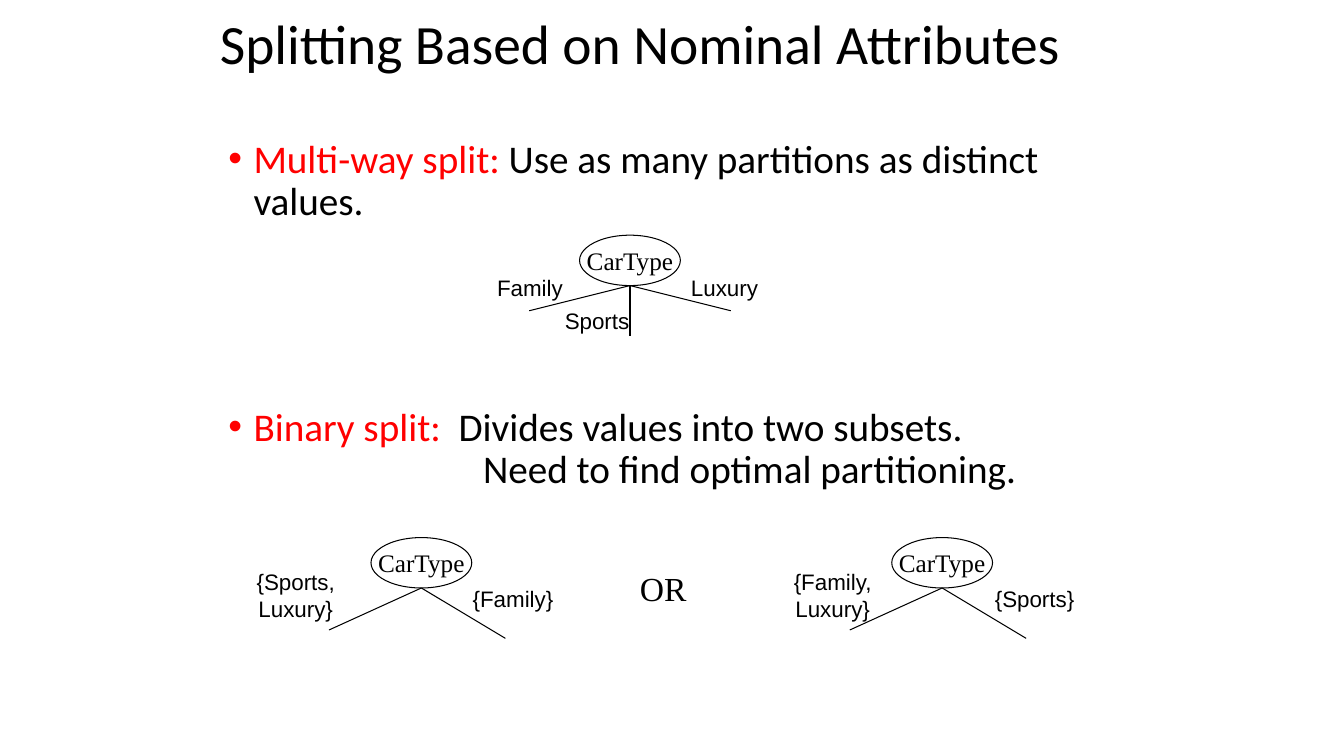
from lxml import etree
from pptx import Presentation
from pptx.dml.color import RGBColor
from pptx.enum.shapes import MSO_CONNECTOR, MSO_SHAPE
from pptx.enum.text import MSO_ANCHOR, PP_ALIGN
from pptx.oxml.ns import qn
from pptx.util import Pt

OVAL = MSO_SHAPE.OVAL
LINE = MSO_CONNECTOR.STRAIGHT
MID, TOP = MSO_ANCHOR.MIDDLE, MSO_ANCHOR.TOP
LEFT, MIDST = PP_ALIGN.LEFT, PP_ALIGN.CENTER
COLORS = {"ink": "000000", "key": "FF0000", "paper": "FFFFFF"}
SANS, SERIF, HEAD = "Arial", "Times New Roman", "Calibri"


class Board:
    """Draws styled text and split trees on one slide."""

    def __init__(self, slide):
        self.slide = slide

    def tint(self, name):
        return RGBColor.from_string(COLORS[name])

    def run(self, para, text, font, size, color="ink"):
        run = para.add_run()
        run.text = text
        run.font.name = font
        run.font.size = Pt(size)
        run.font.color.rgb = self.tint(color)

    def frame(self, shape, wrap, anchor):
        frame = shape.text_frame
        frame.word_wrap = wrap
        frame.vertical_anchor = anchor
        return frame

    def text(self, home, spot, words, font, size, wrap=False):
        box = home.add_textbox(*map(Pt, spot))
        para = self.frame(box, wrap, MID).paragraphs[0]
        para.alignment = MIDST
        self.run(para, words, font, size)
        return para

    def title(self, spot, words):
        para = self.text(self.slide.shapes, spot, words, HEAD, 39.6, True)
        para.alignment = LEFT
        para.line_spacing = 0.9

    def body(self, spot, rows, size):
        box = self.slide.shapes.add_textbox(*map(Pt, spot))
        frame = self.frame(box, True, TOP)
        for i, (gap, left, hang, runs) in enumerate(rows):
            para = frame.add_paragraph() if i else frame.paragraphs[0]
            para.line_spacing = 0.9
            para.space_before = Pt(gap)
            props = para._p.get_or_add_pPr()
            props.set("marL", str(Pt(left)))
            props.set("indent", str(Pt(-hang)))
            if hang:
                etree.SubElement(props, qn("a:buFont")).set("typeface", SANS)
                etree.SubElement(props, qn("a:buChar")).set("char", "•")
            for words, color in runs:
                self.run(para, words, HEAD, size, color)

    def line(self, home, x, y, dx, dy):
        edge = home.add_connector(LINE, Pt(x), Pt(y), Pt(x + dx), Pt(y + dy))
        edge.line.color.rgb = self.tint("ink")
        edge.line.width = Pt(0.75)
        etree.SubElement(edge._element.spPr, qn("a:effectLst"))

    def node(self, home, x, y, words):
        wide, high = 72, 36
        oval = home.add_shape(
            OVAL, Pt(x - wide / 2), Pt(y - high), Pt(wide), Pt(high))
        oval.shadow.inherit = False
        oval.fill.solid()
        oval.fill.fore_color.rgb = self.tint("paper")
        oval.line.color.rgb = self.tint("ink")
        oval.line.width = Pt(0.75)
        para = self.frame(oval, False, MID).paragraphs[0]
        para.alignment = MIDST
        self.run(para, words, SERIF, 18)

    def tree(self, x, y, ends, labels):
        home = self.slide.shapes.add_group_shape().shapes
        self.node(home, x, y, "CarType")
        for dx, dy in ends:
            self.line(home, x, y, dx, dy)
        for words, left, top, wide, high in labels:
            self.text(home, (left, top, wide, high), words, SANS, 16,
                      " " in words)


def main():
    deck = Presentation()
    deck.slide_width, deck.slide_height = Pt(960), Pt(540)
    slide = deck.slides.add_slide(deck.slide_layouts[6])
    board = Board(slide)
    board.title((150, 12, 678, 42), "Splitting Based on Nominal Attributes")
    board.body((156, 96, 660, 294), [
        (0, 18, 18, [("Multi-way split:", "key"),
                     (" Use as many partitions as distinct values.", "ink")]),
        (131, 18, 18, [("Binary split:", "key"),
                       ("  Divides values into two subsets.", "ink")]),
        (0, 182, 0, [("Need to find optimal partitioning.", "ink")]),
    ], 28)

    board.tree(450, 204, [(-72, 18), (0, 36), (72, 18)], [
        ("Family", 343.5, 192, 70, 26.5),
        ("Sports", 391.5, 216, 70, 26.5),
        ("Luxury", 482.5, 192, 70, 26.5)])
    fork = [(-66, 30), (60, 36)]
    board.tree(673, 420, fork, [
        ("{Family, Luxury}", 557, 402, 75.5, 46),
        ("{Sports}", 699, 414, 80, 26.5)])
    board.tree(301, 420, fork, [
        ("{Sports, Luxury}", 174, 402, 74.5, 46),
        ("{Family}", 326.5, 414, 80, 26.5)])
    board.text(slide.shapes, (450, 402, 47.5, 36), "OR", SERIF, 24)
    deck.save("out.pptx")


if __name__ == "__main__":
    main()
